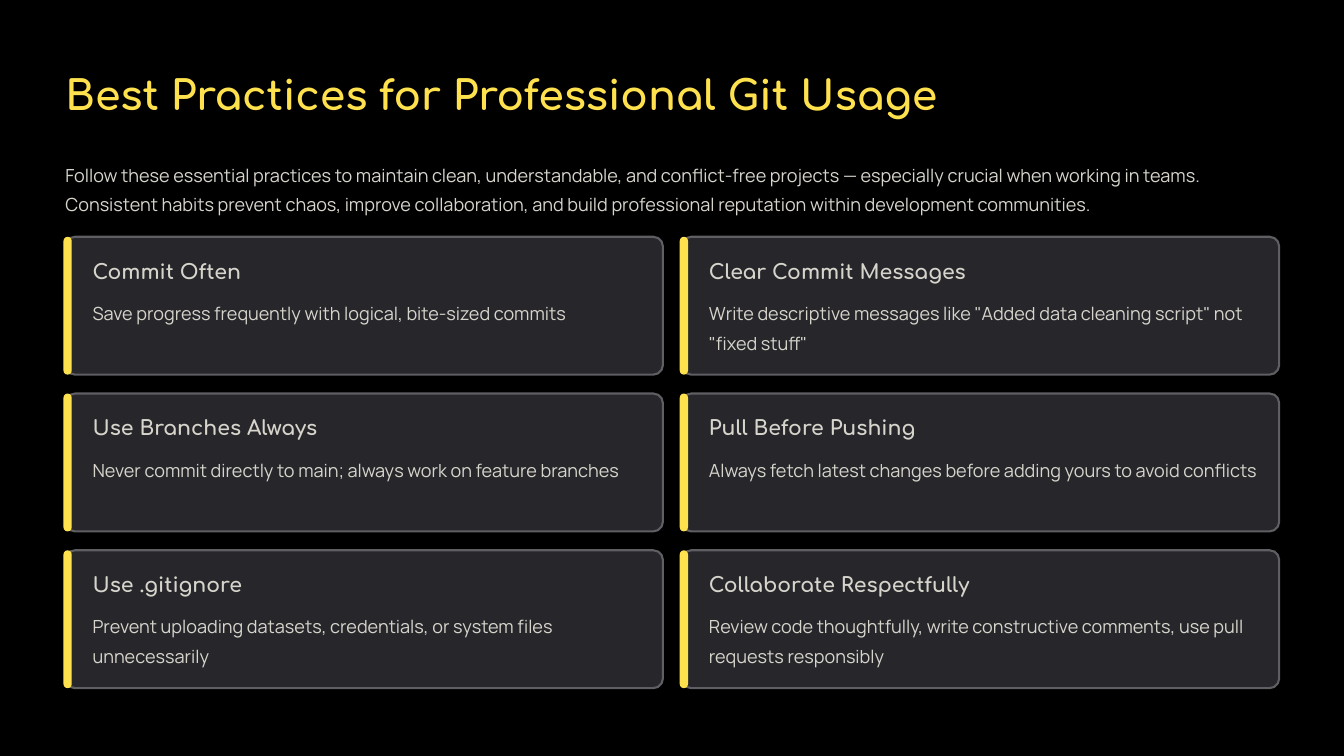
import pptx
import pptx.dml.color
import pptx.enum.shapes
import pptx.enum.text
import pptx.util
from pptx.util import Cm

YELLOW, CREAM, CHARCOAL, GREY, BLACK = "FFE14D", "D7D4CC", "27272B", "5F5F63", "000000"
INTRO = (
    "Follow these essential practices to maintain clean, understandable, and "
    "conflict-free projects — especially crucial when working in teams. "
    "Consistent habits prevent chaos, improve collaboration, and build "
    "professional reputation within development communities."
)
PRACTICES = [
    ("Commit Often", "Save progress frequently with logical, bite-sized commits"),
    ("Clear Commit Messages",
     'Write descriptive messages like "Added data cleaning script" not "fixed stuff"'),
    ("Use Branches Always",
     "Never commit directly to main; always work on feature branches"),
    ("Pull Before Pushing",
     "Always fetch latest changes before adding yours to avoid conflicts"),
    ("Use .gitignore",
     "Prevent uploading datasets, credentials, or system files unnecessarily"),
    ("Collaborate Respectfully",
     "Review code thoughtfully, write constructive comments, use pull requests responsibly"),
]


def paint(color_format, hex_color):
    """Apply a hex colour to a fill's or font's colour format."""
    color_format.rgb = pptx.dml.color.RGBColor.from_string(hex_color)


def write(frame, wording, font_name, size, spacing, color, bold=False, wrap=True):
    """Fill a text frame with one left-aligned paragraph without margins."""
    frame.margin_left = frame.margin_right = frame.margin_top = frame.margin_bottom = 0
    frame.auto_size = pptx.enum.text.MSO_AUTO_SIZE.NONE
    frame.vertical_anchor = pptx.enum.text.MSO_ANCHOR.TOP
    frame.word_wrap = wrap
    paragraph = frame.paragraphs[0]
    paragraph.alignment = pptx.enum.text.PP_ALIGN.LEFT
    paragraph.line_spacing = pptx.util.Pt(spacing)
    run = paragraph.add_run()
    run.text = wording
    run.font.name, run.font.size, run.font.bold = font_name, pptx.util.Pt(size), bold
    paint(run.font.color, color)


def add_heading(slide, left, top, width, height):
    """Place and format the slide title."""
    heading = slide.shapes.title
    heading.left, heading.top, heading.width, heading.height = left, top, width, height
    write(heading.text_frame, "Best Practices for Professional Git Usage",
          "Comfortaa", 35, 44, YELLOW, bold=True, wrap=False)


def add_body(slide, wording, left, top, width, height):
    """Place a passage of body text."""
    body = slide.shapes.add_textbox(left, top, width, height)
    write(body.text_frame, wording, "Manrope", 15.5, 25.5, CREAM)


def add_panel(slide, left, top, width, height, rounding, color):
    """Place a plain rounded rectangle and return it."""
    panel = slide.shapes.add_shape(
        pptx.enum.shapes.MSO_SHAPE.ROUNDED_RECTANGLE, left, top, width, height)
    panel.adjustments[0] = rounding
    panel.shadow.inherit = False
    panel.fill.solid()
    paint(panel.fill.fore_color, color)
    panel.line.fill.background()
    return panel


def add_card(slide, practice, advice, left, top, width, height):
    """Place one practice card with its accent bar, name and advice."""
    card = add_panel(slide, left, top, width, height, 0.07, CHARCOAL)
    card.line.fill.solid()
    paint(card.line.fill.fore_color, GREY)
    card.line.width = pptx.util.Pt(1.8)
    add_panel(slide, left - Cm(0.06), top, Cm(0.25), height, 0.5, YELLOW)

    text_left, text_width = left + Cm(0.82), width - Cm(1.45)
    name = slide.shapes.add_textbox(text_left, top + Cm(0.63), text_width, Cm(0.79))
    write(name.text_frame, practice, "Comfortaa", 17.5, 22, CREAM, bold=True)
    add_body(slide, advice, text_left, top + Cm(1.74), text_width, Cm(1.8))


def add_card_grid(slide, left, top, width, height, gap, columns=2):
    """Lay the practice cards out in equal rows and columns."""
    rows = len(PRACTICES) // columns
    card_width = (width - gap * (columns - 1)) // columns
    card_height = (height - gap * (rows - 1)) // rows
    for index, (practice, advice) in enumerate(PRACTICES):
        row, column = divmod(index, columns)
        add_card(slide, practice, advice, left + column * (card_width + gap),
                 top + row * (card_height + gap), card_width, card_height)


def main():
    """Build and save the presentation."""
    deck = pptx.Presentation()
    deck.slide_width, deck.slide_height = Cm(40.64), Cm(22.86)
    slide = deck.slides.add_slide(deck.slide_layouts.get_by_name("Title Only"))
    slide.background.fill.solid()
    paint(slide.background.fill.fore_color, BLACK)

    margin, content_width = Cm(1.98), Cm(36.7)
    add_heading(slide, margin, Cm(2.03), Cm(26.72), Cm(1.57))
    add_body(slide, INTRO, margin, Cm(4.72), content_width, Cm(1.8))
    add_card_grid(slide, margin, Cm(7.16), content_width, Cm(13.65), Cm(0.57))
    deck.save("out.pptx")


if __name__ == "__main__":
    main()
